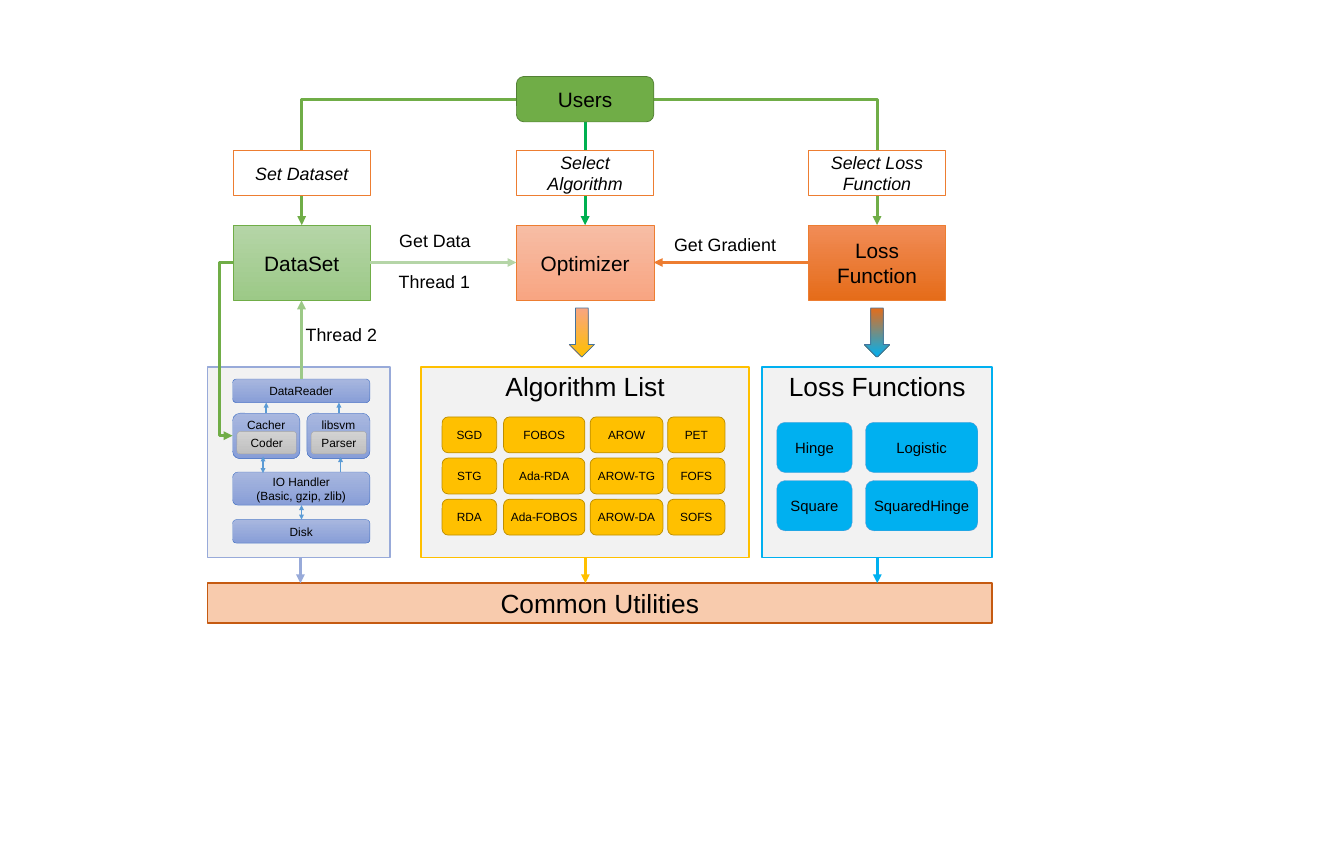
from lxml.etree import SubElement
from pptx import Presentation
from pptx.dml.color import RGBColor
from pptx.enum.shapes import MSO_CONNECTOR, MSO_SHAPE
from pptx.enum.text import MSO_ANCHOR, PP_ALIGN
from pptx.oxml.ns import qn
from pptx.util import Inches, Pt

BLACK = RGBColor(0, 0, 0)
WHITE = RGBColor(0xFF, 0xFF, 0xFF)
PALE = RGBColor(0xF2, 0xF2, 0xF2)
GREEN = RGBColor(0x70, 0xAD, 0x47)
MOSS = RGBColor(0x53, 0x80, 0x35)
JADE = RGBColor(0x00, 0xB0, 0x50)
MINT = RGBColor(0xB5, 0xD5, 0xA7)
LEAF = RGBColor(0x9C, 0xC9, 0x87)
ORANGE = RGBColor(0xED, 0x7D, 0x31)
PEACH = RGBColor(0xF7, 0xBD, 0xA5)
SALMON = RGBColor(0xF8, 0xA5, 0x82)
CORAL = RGBColor(0xF1, 0x8C, 0x57)
EMBER = RGBColor(0xE5, 0x6C, 0x19)
CREAM = RGBColor(0xF8, 0xCB, 0xAD)
RUST = RGBColor(0xC5, 0x5A, 0x11)
GOLD = RGBColor(0xFF, 0xC0, 0x00)
BRONZE = RGBColor(0xBD, 0x8E, 0x00)
CYAN = RGBColor(0x00, 0xB0, 0xF0)
BLUE = RGBColor(0x5B, 0x9B, 0xD5)
NAVY = RGBColor(0x44, 0x72, 0xC4)
STEEL = RGBColor(0x43, 0x73, 0x9E)
LILAC = RGBColor(0x98, 0xAA, 0xD9)
HAZE = RGBColor(0xA8, 0xB7, 0xDF)
IRIS = RGBColor(0x88, 0x9E, 0xD7)
SILVER = RGBColor(0xD2, 0xD2, 0xD2)
ASH = RGBColor(0xC0, 0xC0, 0xC0)
GREY = RGBColor(0xA5, 0xA5, 0xA5)

RECT, ROUND = MSO_SHAPE.RECTANGLE, MSO_SHAPE.ROUNDED_RECTANGLE
TOP, MIDDLE = MSO_ANCHOR.TOP, MSO_ANCHOR.MIDDLE

deck = Presentation()
deck.slide_width, deck.slide_height = Inches(25.14), Inches(15.77)
slide = deck.slides.add_slide(deck.slide_layouts[6])
shapes = slide.shapes


def write(frame, text, size, align, italic=False):
    frame.word_wrap = True
    frame.text = text
    for para in frame.paragraphs:
        para.alignment = align
        font = para.font
        font.name, font.size, font.italic = "Arial", Pt(size), italic
        font.color.rgb = BLACK


def block(kind, box, fill, edge, width=1, text="", size=16, anchor=MIDDLE, italic=False):
    shape = shapes.add_shape(kind, *map(Inches, box))
    shape.shadow.inherit = False
    if isinstance(fill, tuple) and not isinstance(fill, RGBColor):
        shape.fill.gradient()
        shape.fill.gradient_angle = 270
        for stop, color in zip(shape.fill.gradient_stops, fill):
            stop.color.rgb = color
    else:
        shape.fill.solid()
        shape.fill.fore_color.rgb = fill
    shape.line.color.rgb = edge
    shape.line.width = Pt(width)
    if text:
        shape.text_frame.vertical_anchor = anchor
        write(shape.text_frame, text, size, PP_ALIGN.CENTER, italic)


def label(x, y, w, text):
    box = shapes.add_textbox(Inches(x), Inches(y), Inches(w), Inches(0.5))
    write(box.text_frame, text, 24, PP_ALIGN.LEFT)


def arrow(start, end, color, width=4, ends=("tailEnd",), bend=None, turn=None):
    kind = MSO_CONNECTOR.ELBOW if bend else MSO_CONNECTOR.STRAIGHT
    wire = shapes.add_connector(kind, *map(Inches, start + end))
    wire.line.color.rgb = color
    wire.line.width = Pt(width)
    props = wire._element.spPr
    for name in ends:
        SubElement(props.find(qn("a:ln")), qn("a:" + name), type="triangle")
    SubElement(props, qn("a:effectLst"))
    if bend:
        shape = props.find(qn("a:prstGeom"))
        shape.set("prst", bend)
        if turn:
            guide = SubElement(shape.find(qn("a:avLst")), qn("a:gd"))
            guide.set("name", "adj1")
            guide.set("fmla", f"val {turn}")


def grid(x, y, cols, rows, pitch, high, names, fill, edge, width, size):
    for row in range(rows):
        for (dx, wide), name in zip(cols, names[row]):
            cell = (x + dx, y + row * pitch, wide, high)
            block(ROUND, cell, fill, edge, width, name, size)


def flow(x, y, w, h):
    mid = w / 2
    left, center, right = x, x + 5.3, x + 10.76
    axis = y + 0.43
    arrow((center, axis), (left + mid, y + 2.78), GREEN, bend="bentConnector2")
    arrow((center + w, axis), (right + mid, y + 2.78), GREEN, bend="bentConnector2")
    arrow((center + mid, y + 0.85), (center + mid, y + 2.78), JADE)
    block(ROUND, (center, y, w, 0.85), GREEN, MOSS, 1, "Users", 28)
    steps = [
        (left, "Set Dataset", "DataSet", (MINT, LEAF), GREEN),
        (center, "Select Algorithm", "Optimizer", (PEACH, SALMON), ORANGE),
        (right, "Select Loss Function", "Loss Function", (CORAL, EMBER), ORANGE),
    ]
    for col, action, part, fill, edge in steps:
        block(RECT, (col, y + 1.38, w, 0.85), WHITE, ORANGE, 1, action, 24, italic=True)
        block(RECT, (col, y + 2.78, w, h - 2.78), fill, edge, 0.5, part, 28)
    level = y + 3.48
    arrow((left + w, level), (center, level), MINT)
    arrow((right, level), (center + w, level), ORANGE)
    label(left + 3.01, y + 2.82, 1.63, "Get Data")
    label(left + 3, y + 3.58, 1.71, "Thread 1")
    label(left + 1.26, y + 4.57, 1.86, "Thread 2")
    label(center + 2.85, y + 2.9, 2.45, "Get Gradient")
    for spot, fill in ((center + 0.99, (SALMON, GOLD)), (right + 1.05, (EMBER, CYAN))):
        block(MSO_SHAPE.DOWN_ARROW, (spot, y + 4.33, 0.47, 0.92), fill, STEEL)


def reader(x, y, w, h):
    block(RECT, (x, y, w, h), PALE, LILAC, 2.25)
    left, mid = x + 0.47, x + 1.76
    bars = [(0.22, 0.44, "DataReader"), (1.96, 0.62, "IO Handler\n(Basic, gzip, zlib)"),
            (2.85, 0.44, "Disk")]
    for dy, high, name in bars:
        block(ROUND, (left, y + dy, 2.57, high), (HAZE, IRIS), NAVY, 0.5, name)
    units = [(0, 1.26, "Cacher", "Coder"), (1.39, 1.18, "libsvm", "Parser")]
    for dx, wide, outer, inner in units:
        spot = left + dx
        block(ROUND, (spot, y + 0.86, wide, 0.85), (HAZE, IRIS), NAVY, 0.5, outer, anchor=TOP)
        block(ROUND, (spot + 0.08, y + 1.2, wide - 0.14, 0.42), (SILVER, ASH), GREY, 0.5, inner)
    up, both = ("headEnd",), ("headEnd", "tailEnd")
    links = [(1.1, 0.66, 0.86, up), (2.46, 0.66, 0.86, up), (1.04, 1.67, 1.98, both),
             (2.49, 1.68, 1.96, up), (1.76, 2.58, 2.85, both)]
    for dx, start, end, ends in links:
        arrow((x + dx, y + start), (x + dx, y + end), BLUE, 2.25, ends)
    arrow((mid, y - 1.25), (mid, y + 0.22), LEAF, ends=up)
    arrow((left + 0.01, y - 1.96), (left, y + 1.28), GREEN,
          bend="bentConnector3", turn=2600000)


def solvers(x, y, w, h):
    block(RECT, (x, y, w, h), PALE, GOLD, 2.25, "Algorithm List", 35.4, TOP)
    names = [("SGD", "FOBOS", "AROW", "PET"),
             ("STG", "Ada-RDA", "AROW-TG", "FOFS"),
             ("RDA", "Ada-FOBOS", "AROW-DA", "SOFS")]
    cols = [(0, 1.02), (1.15, 1.52), (2.77, 1.36), (4.22, 1.07)]
    grid(x + 0.39, y + 0.93, cols, 3, 0.77, 0.67, names, GOLD, BRONZE, 1, 16)


def losses(x, y, w, h):
    block(RECT, (x, y, w, h), PALE, CYAN, 2.25, "Loss Functions", 35.4, TOP)
    names = [("Hinge", "Logistic"), ("Square", "SquaredHinge")]
    cols = [(0, 1.41), (1.66, 2.1)]
    grid(x + 0.27, y + 1.03, cols, 2, 1.09, 0.94, names, CYAN, BLUE, 0.5, 20)


def base(x, y, w, h):
    block(RECT, (x, y, w, h), CREAM, RUST, 2.25, "Common Utilities", 35.4, MIDDLE)
    for dx, color in ((1.74, LILAC), (7.07, GOLD), (12.53, CYAN)):
        arrow((x + dx, y - 0.48), (x + dx, y), color)


flow(4.36, 1.43, 2.57, 4.19)
reader(3.88, 6.87, 3.41, 3.56)
solvers(7.88, 6.87, 6.13, 3.56)
losses(14.26, 6.87, 4.3, 3.56)
base(3.88, 10.91, 14.68, 0.74)
deck.save("out.pptx")
